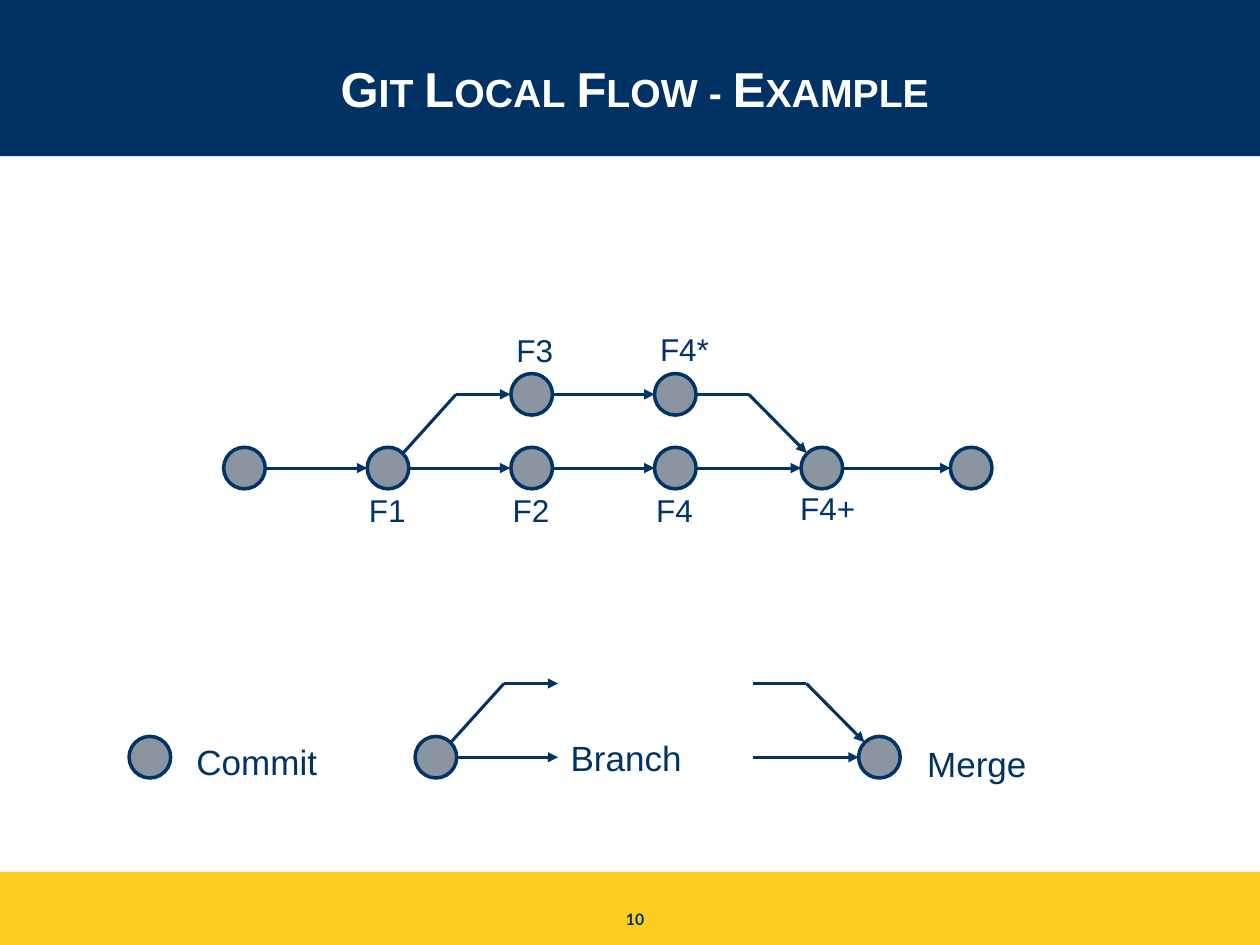
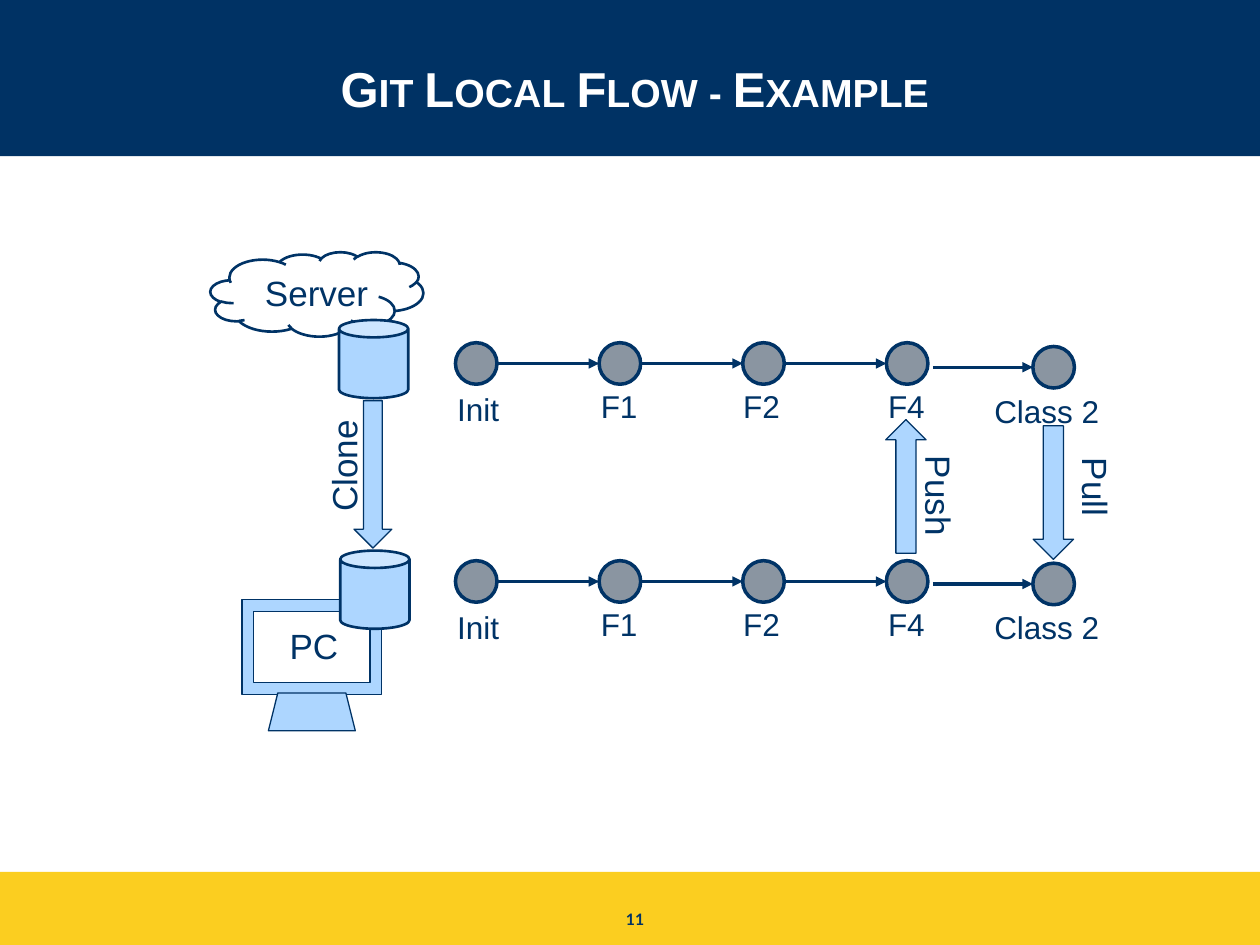
from lxml.etree import SubElement
from pptx import Presentation
from pptx.dml.color import RGBColor
from pptx.enum.shapes import MSO_CONNECTOR, MSO_SHAPE
from pptx.enum.text import MSO_ANCHOR, PP_ALIGN
from pptx.oxml.ns import qn
from pptx.util import Inches, Pt

COLORS = {
    "band": "003264",
    "footer": "FBCE20",
    "ink": "003366",
    "node": "001933",
    "device": "ADD6FF",
    "white": "FFFFFF",
}
FONT = "Arial"
WIDTH, HEIGHT = 10, 7.5
COLUMN, ROW = 1.14, 0.585
NODE = 0.33
RADIUS = NODE / 2
DIAGONAL = 0.12
LABEL_SIZE, NAME_SIZE = 18, 20


def add_shape(slide, kind, box, fill, line_width=0, rotation=0):
    shape = slide.shapes.add_shape(kind, *[Inches(length) for length in box])
    shape.shadow.inherit = False
    shape.rotation = rotation
    if fill:
        shape.fill.solid()
        shape.fill.fore_color.rgb = RGBColor.from_string(COLORS[fill])
    else:
        shape.fill.background()
    if line_width:
        shape.line.color.rgb = RGBColor.from_string(COLORS["ink"])
        shape.line.width = Pt(line_width)
    else:
        shape.line.fill.background()
    return shape


def add_text(slide, text, box, size, rotation=0, wrap=False, font=FONT, color="ink"):
    label = slide.shapes.add_textbox(*[Inches(length) for length in box])
    label.rotation = rotation
    label.text_frame.word_wrap = wrap
    paragraph = label.text_frame.paragraphs[0]
    paragraph.text = text
    paragraph.font.size = Pt(size)
    paragraph.font.name = font
    paragraph.font.color.rgb = RGBColor.from_string(COLORS[color])
    return paragraph


presentation = Presentation()
presentation.slide_width = Inches(WIDTH)
presentation.slide_height = Inches(HEIGHT)
layout = presentation.slide_layouts.get_by_name("Title Only")
slides = [presentation.slides.add_slide(layout) for _ in range(2)]
local_slide, remote_slide = slides

for band_box, band_color in [
    ((0, 6.92, WIDTH, 0.58), "footer"),
    ((0, 0, WIDTH, 1.24), "band"),
]:
    band = add_shape(local_slide, MSO_SHAPE.RECTANGLE, band_box, band_color)
    layout.shapes.element.insert(2, band.element)

for number, slide in enumerate(slides, start=10):
    title = slide.shapes.title
    title.left, title.top = Inches(0.5), Inches(0.16)
    title.width, title.height = Inches(9.08), Inches(1.08)
    title.text_frame.vertical_anchor = MSO_ANCHOR.MIDDLE
    paragraph = title.text_frame.paragraphs[0]
    paragraph.text = "Git Local Flow - Example"
    paragraph.alignment = PP_ALIGN.CENTER
    paragraph.font.size = Pt(28)
    paragraph.font.name = FONT
    paragraph.font.bold = True
    paragraph.font.color.rgb = RGBColor.from_string(COLORS["white"])
    for properties in title.element.iter(qn("a:defRPr")):
        properties.set("cap", "small")
    paragraph = add_text(slide, str(number), (4, 7.17, 2.08, 0.33), 9,
                         wrap=True, font="Lato", color="band")
    paragraph.alignment = PP_ALIGN.CENTER
    paragraph.font.bold = True

nodes = []
lines = []

flow_left, flow_y = 1.94, 3.715
branch_y = flow_y - ROW
flow_x = [flow_left + COLUMN * column for column in (0, 1, 2, 3, 4.02, 5.06)]
nodes += [(local_slide, x, flow_y) for x in flow_x]
nodes += [(local_slide, x, branch_y) for x in flow_x[2:4]]
for start, end, y in [(0, 1, flow_y), (2, 3, flow_y), (4, 5, flow_y), (2, 3, branch_y)]:
    lines.append((local_slide, (flow_x[start] + RADIUS, y), (flow_x[end] - RADIUS, y), True))

legend_y = 6.01
legend_commit, legend_branch, legend_merge = 1.19, 3.46, 6.98
nodes += [(local_slide, x, legend_y) for x in (legend_commit, legend_branch, legend_merge)]

for x, y in [(flow_x[1], flow_y), (legend_branch, legend_y)]:
    bend, tip = (x + 0.54, y - ROW), (x + 0.97, y - ROW)
    lines += [
        (local_slide, (x + RADIUS, y), (x + 0.97, y), True),
        (local_slide, (x + DIAGONAL, y - DIAGONAL), bend, False),
        (local_slide, bend, tip, True),
    ]

for x, y in [(flow_x[4], flow_y), (legend_merge, legend_y)]:
    bend = (x - 0.58, y - ROW)
    lines += [
        (local_slide, (x - 1, y), (x - RADIUS, y), True),
        (local_slide, (x - 1, y - ROW), bend, False),
        (local_slide, bend, (x - DIAGONAL, y - DIAGONAL), True),
    ]

for text, column, offset, top, width in [
    ("F1", 1, 0.25, 3.85, 0.5),
    ("F2", 2, 0.25, 3.85, 0.5),
    ("F4", 3, 0.25, 3.85, 0.5),
    ("F4+", 4, 0.27, 3.83, 0.64),
    ("F3", 2, 0.22, 2.58, 0.5),
    ("F4*", 3, 0.22, 2.57, 0.67),
]:
    add_text(local_slide, text, (flow_x[column] - offset, top, width, 0.4), LABEL_SIZE)

for text, left, top in [("Commit", 1.46, 5.83), ("Branch", 4.43, 5.8), ("Merge", 7.26, 5.84)]:
    add_text(local_slide, text, (left, top, 1.38, 0.44), NAME_SIZE, wrap=True)

cloud = add_shape(remote_slide, MSO_SHAPE.CLOUD, (1.67, 2, 1.69, 0.67), None, 1.5)
cloud.text_frame.margin_left = Inches(0.2)
cloud.text_frame.margin_right = 0
cloud.text_frame.vertical_anchor = MSO_ANCHOR.MIDDLE
paragraph = cloud.text_frame.paragraphs[0]
paragraph.text = "Server"
paragraph.alignment = PP_ALIGN.LEFT
paragraph.font.size = Pt(NAME_SIZE)
paragraph.font.name = FONT
paragraph.font.color.rgb = RGBColor.from_string(COLORS["ink"])

for kind, box, line_width, rotation in [
    (MSO_SHAPE.FRAME, (1.92, 4.76, 1.11, 0.75), 0.75, 0),
    (MSO_SHAPE.TRAPEZOID, (2.13, 5.5, 0.69, 0.3), 0.75, 0),
    (MSO_SHAPE.CAN, (2.69, 2.54, 0.55, 0.62), 1.5, 0),
    (MSO_SHAPE.CAN, (2.7, 4.37, 0.55, 0.62), 1.5, 0),
    (MSO_SHAPE.DOWN_ARROW, (2.81, 3.18, 0.3, 1.17), 0.75, 0),
    (MSO_SHAPE.DOWN_ARROW, (7.03, 3.33, 0.32, 1.06), 0.75, 180),
    (MSO_SHAPE.DOWN_ARROW, (8.2, 3.38, 0.32, 1.06), 0.75, 0),
]:
    add_shape(remote_slide, kind, box, "device", line_width, rotation)

for text, box, rotation in [
    ("PC", (2.2, 4.91, 0.59, 0.44), 0),
    ("Clone", (2.26, 3.47, 0.94, 0.44), 270),
    ("Push", (7.03, 3.72, 0.84, 0.44), 90),
    ("Pull", (8.36, 3.65, 0.67, 0.44), 90),
]:
    add_text(remote_slide, text, box, NAME_SIZE, rotation)

history_x = [3.78 + COLUMN * column for column in (0, 1, 2, 3, 4.02)]
for history_y, class_drop in [(2.885, 0.03), (4.615, 0.02)]:
    class_y = history_y + class_drop
    history = [(x, history_y) for x in history_x[:4]] + [(history_x[4], class_y)]
    nodes += [(remote_slide, x, y) for x, y in history]
    for (start, _), (end, y), gap in zip(history, history[1:], (0, 0, 0, 0.04)):
        lines.append((remote_slide, (start + RADIUS + gap, y), (end - RADIUS, y), True))
    for (x, y), (text, offset, drop, width) in zip(history, [
        ("Init", 0.25, 0.165, 0.54),
        ("F1", 0.25, 0.135, 0.5),
        ("F2", 0.26, 0.135, 0.5),
        ("F4", 0.25, 0.135, 0.5),
        ("Class 2", 0.57, 0.145, 1.06),
    ]):
        add_text(remote_slide, text, (x - offset, y + drop, width, 0.4), LABEL_SIZE)

for slide, x, y in nodes:
    node = add_shape(slide, MSO_SHAPE.OVAL, (x - RADIUS, y - RADIUS, NODE, NODE), "node", 2)
    fill_color = node.element.spPr.find(qn("a:solidFill")).find(qn("a:srgbClr"))
    SubElement(fill_color, qn("a:alpha"), val="46000")

for slide, start, end, has_head in lines:
    connector = slide.shapes.add_connector(
        MSO_CONNECTOR.STRAIGHT, *[Inches(length) for length in start + end])
    connector.line.color.rgb = RGBColor.from_string(COLORS["ink"])
    connector.line.width = Pt(1.75)
    properties = connector.element.spPr
    if has_head:
        SubElement(properties.find(qn("a:ln")), qn("a:tailEnd"), type="triangle")
    SubElement(properties, qn("a:effectLst"))

presentation.save("out.pptx")
